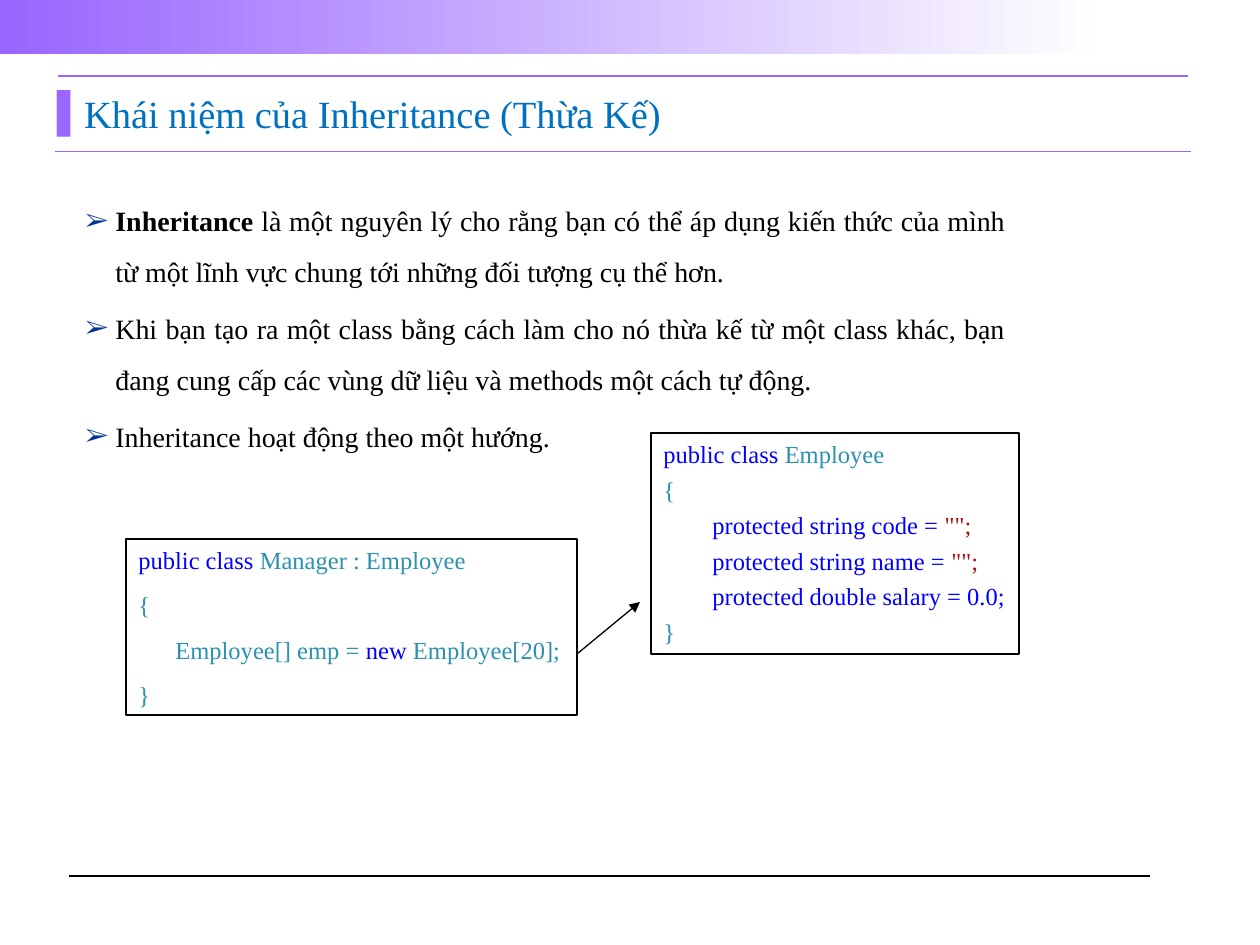
from dataclasses import dataclass

from lxml.etree import SubElement
from pptx import Presentation
from pptx.dml.color import RGBColor
from pptx.enum.shapes import MSO_CONNECTOR, MSO_SHAPE
from pptx.enum.text import MSO_ANCHOR, MSO_AUTO_SIZE, PP_ALIGN
from pptx.oxml.ns import qn
from pptx.util import Pt

PX = 914400 / 126


@dataclass(frozen=True)
class Theme:
    font: str = "Times New Roman"
    title_size: int = 22
    body_size: int = 16
    code_size: int = 14
    purple: str = "9966FF"
    title: str = "0070C0"
    bullet: str = "003399"
    black: str = "000000"
    white: str = "FFFFFF"
    keyword: str = "0000FF"
    type_name: str = "2B91AF"
    string: str = "A31515"


theme = Theme()


def write(frame, *runs, size, align=PP_ALIGN.LEFT, before=0, spacing=None,
          margin=0, bullet=None, bullet_color=None, bullet_percent=100):
    """Add one paragraph of (text, colour, bold) runs; margin is in px and hangs a bullet."""
    paragraph = frame.paragraphs[-1]
    if paragraph.runs:
        paragraph = frame.add_paragraph()
    paragraph.alignment = align
    paragraph.space_before = Pt(before)
    paragraph.line_spacing = spacing
    properties = paragraph._p.get_or_add_pPr()
    properties.set("marL", str(round(margin * PX)))
    properties.set("indent", str(round(-margin * PX)) if bullet else "0")
    if bullet:
        color = SubElement(properties, qn("a:buClr"))
        SubElement(color, qn("a:srgbClr"), val=bullet_color)
        SubElement(properties, qn("a:buSzPct"), val=str(bullet_percent * 1000))
        SubElement(properties, qn("a:buFont"), typeface=theme.font)
        SubElement(properties, qn("a:buChar"), char=bullet)
    for text, color, bold in runs:
        run = paragraph.add_run()
        run.text = text
        run.font.name = theme.font
        run.font.size = Pt(size)
        run.font.bold = bold
        run.font.color.rgb = RGBColor.from_string(color)


def add_line(start, end, color, width):
    points = [round(value * PX) for value in (*start, *end)]
    line = slide.shapes.add_connector(MSO_CONNECTOR.STRAIGHT, *points)
    line.line.color.rgb = RGBColor.from_string(color)
    line.line.width = Pt(width)
    SubElement(line._element.spPr, qn("a:effectLst"))
    return line


presentation = Presentation()
presentation.slide_width = round(1260 * PX)
presentation.slide_height = round(945 * PX)
slide = presentation.slides.add_slide(presentation.slide_layouts[5])

# Header band and rules
band = slide.shapes.add_shape(MSO_SHAPE.RECTANGLE, 0, 0, round(1104 * PX), round(54 * PX))
band.shadow.inherit = False
band.line.fill.background()
band.fill.gradient()
band.fill.gradient_angle = 0
for stop, position, color in zip(band.fill.gradient_stops, (0, 1), (theme.purple, theme.white)):
    stop.position = position
    stop.color.rgb = RGBColor.from_string(color)

for left, right, y, color, width in (
    (55, 1191, 151, theme.purple, 0.5),
    (69, 1150, 876, theme.black, 0.75),
    (58, 1188, 76, theme.purple, 0.75),
):
    add_line((left, y), (right, y), color, width)

# Title
title = slide.shapes.title
title.left, title.top, title.width, title.height = (round(v * PX) for v in (57, 89, 1086, 47))
heading = title.text_frame
heading.auto_size = MSO_AUTO_SIZE.NONE
heading.vertical_anchor = MSO_ANCHOR.BOTTOM
heading.margin_left = heading.margin_right = heading.margin_top = heading.margin_bottom = 0
write(heading, ("Khái niệm của Inheritance (Thừa Kế)", theme.title, False),
      size=theme.title_size, margin=24, bullet="▌", bullet_color=theme.purple)

# Principles
principles = slide.shapes.add_textbox(*(round(v * PX) for v in (73, 181, 945, 513))).text_frame
principles.word_wrap = True
for lead, rest in (
    ("Inheritance", " là một nguyên lý cho rằng bạn có thể áp dụng kiến thức của mình "
                    "từ một lĩnh vực chung tới những đối tượng cụ thể hơn."),
    ("", "Khi bạn tạo ra một class bằng cách làm cho nó thừa kế từ một class khác, bạn "
         "đang cung cấp các vùng dữ liệu và methods một cách tự động."),
    ("", "Inheritance hoạt động theo một hướng."),
):
    runs = [(lead, theme.black, True)] if lead else []
    write(principles, *runs, (rest, theme.black, False), size=theme.body_size,
          align=PP_ALIGN.JUSTIFY, before=4, spacing=1.5, margin=30,
          bullet="➢", bullet_color=theme.bullet, bullet_percent=90)

# Class listings: each line is an indent in px and its coloured parts
employee = [
    (0, [("public class ", theme.keyword), ("Employee", theme.type_name)]),
    (0, [("{", theme.type_name)]),
    (49, [("protected string code = ", theme.keyword), ('"";', theme.string)]),
    (49, [("protected string name = ", theme.keyword), ('"";', theme.string)]),
    (49, [("protected double salary = 0.0;", theme.keyword)]),
    (0, [("}", theme.type_name)]),
]
manager = [
    (0, [("public class ", theme.keyword), ("Manager : Employee", theme.type_name)]),
    (0, [("{", theme.type_name)]),
    (37, [("Employee[] emp = ", theme.type_name), ("new ", theme.keyword),
          ("Employee[20];", theme.type_name)]),
    (0, [("}", theme.type_name)]),
]
for bounds, before, listing in (
    ((651, 433, 368, 221), 3.5, employee),
    ((126, 539, 451, 176), 8.8, manager),
):
    class_box = slide.shapes.add_shape(MSO_SHAPE.RECTANGLE, *(round(v * PX) for v in bounds))
    class_box.shadow.inherit = False
    class_box.fill.background()
    class_box.line.color.rgb = RGBColor.from_string(theme.black)
    class_box.line.width = Pt(0.75)
    code = class_box.text_frame
    code.word_wrap = True
    code.vertical_anchor = MSO_ANCHOR.TOP
    for indent, parts in listing:
        write(code, *((text, color, False) for text, color in parts),
              size=theme.code_size, before=before, margin=indent)

# Manager inherits from Employee
inherits = add_line((577, 654), (640, 602), theme.black, 0.75)
SubElement(inherits.line._get_or_add_ln(), qn("a:tailEnd"), type="triangle")

presentation.save("out.pptx")
